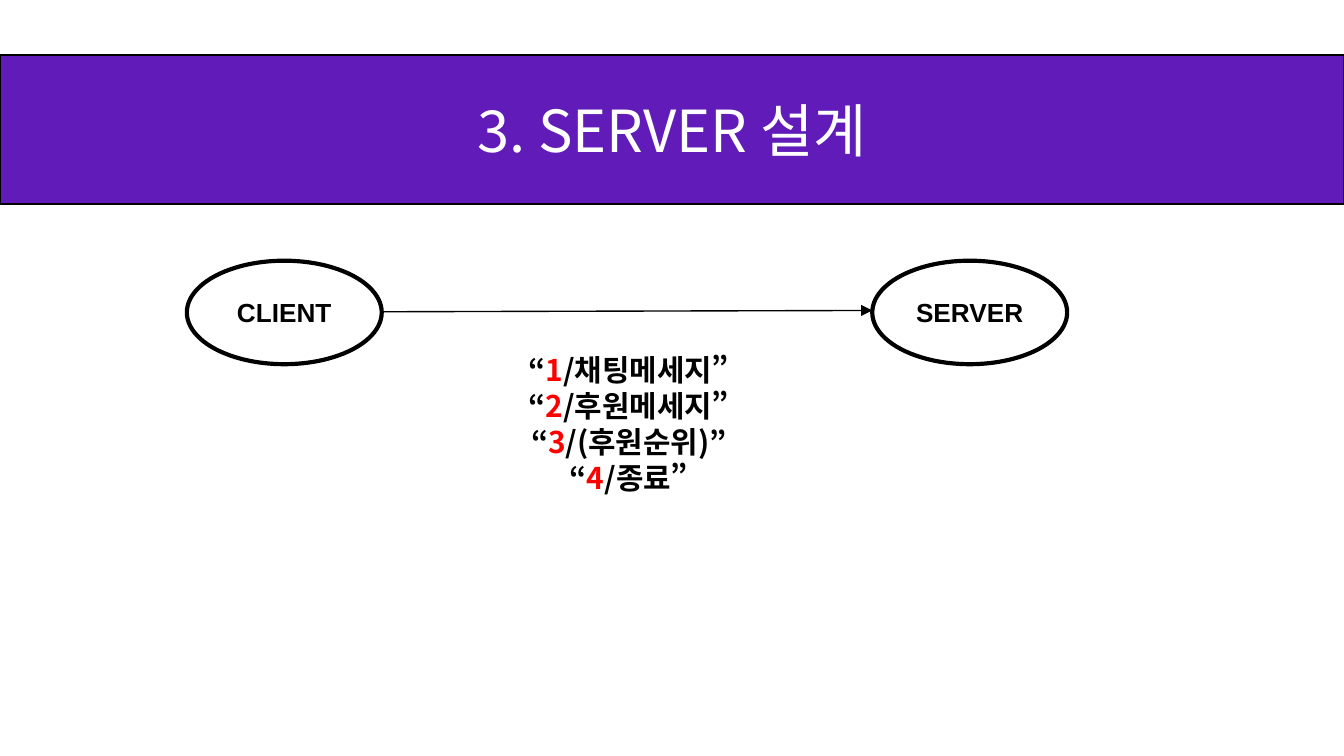
from lxml import etree
from pptx import Presentation
from pptx.dml.color import RGBColor
from pptx.enum.lang import MSO_LANGUAGE_ID
from pptx.enum.shapes import MSO_CONNECTOR, MSO_SHAPE
from pptx.enum.text import MSO_ANCHOR, PP_ALIGN
from pptx.oxml.ns import qn
from pptx.util import Inches, Pt

RECT, OVAL = MSO_SHAPE.RECTANGLE, MSO_SHAPE.OVAL
STRAIGHT = MSO_CONNECTOR.STRAIGHT
CENTER = PP_ALIGN.CENTER
TOP, MIDDLE = MSO_ANCHOR.TOP, MSO_ANCHOR.MIDDLE
KO = MSO_LANGUAGE_ID.KOREAN

LATIN, KOREAN = "Arial", "Noto Sans CJK KR"
BLACK, WHITE, RED, PURPLE = "000000", "FFFFFF", "FF0000", "611BB8"


def rgb(value):
    return RGBColor.from_string(value)


def add_run(p, text, size=16, font=KOREAN, color=BLACK, bold=False):
    r = p.add_run()
    r.text = text
    r.font.size, r.font.name, r.font.bold = Pt(size), font, bold
    r.font.language_id = KO
    r.font.color.rgb = rgb(color)
    # East Asian characters take their typeface from a:ea
    etree.SubElement(r.font._element, qn("a:ea"), typeface=font)


class SlideBuilder:
    inset = Inches(0.1)

    def __init__(self, slide):
        self.s = slide

    def frame(self, sp, anchor):
        tf = sp.text_frame
        tf.word_wrap = True
        tf.vertical_anchor = anchor
        tf.margin_left = tf.margin_right = self.inset
        tf.margin_top = tf.margin_bottom = self.inset
        return tf

    def shape(self, kind, box, text, fill=None, line_width=0.75, **fmt):
        sp = self.s.shapes.add_shape(kind, *map(Inches, box))
        sp.shadow.inherit = False
        if fill:
            sp.fill.solid()
            sp.fill.fore_color.rgb = rgb(fill)
        else:
            sp.fill.background()
        sp.line.color.rgb = rgb(BLACK)
        sp.line.width = Pt(line_width)
        p = self.frame(sp, MIDDLE).paragraphs[0]
        p.alignment = CENTER
        add_run(p, text, **fmt)

    def arrow(self, start, end):
        cn = self.s.shapes.add_connector(STRAIGHT, *map(Inches, start + end))
        cn.line.color.rgb = rgb(BLACK)
        cn.line.width = Pt(0.75)
        etree.SubElement(cn.line._get_or_add_ln(), qn("a:tailEnd"), type="triangle")
        etree.SubElement(cn._element.spPr, qn("a:effectLst"))

    def messages(self, box, items):
        sp = self.s.shapes.add_textbox(*map(Inches, box))
        tf = self.frame(sp, TOP)
        for number, item in enumerate(items, 1):
            p = tf.paragraphs[0] if number == 1 else tf.add_paragraph()
            p.alignment = CENTER
            add_run(p, "“", bold=True)
            add_run(p, str(number), color=RED, bold=True)
            add_run(p, f"/{item}”", bold=True)


def main():
    # 16:9 slide
    prs = Presentation()
    prs.slide_width, prs.slide_height = Inches(10), Inches(10 * 9 / 16)
    b = SlideBuilder(prs.slides.add_slide(prs.slide_layouts[6]))

    # Title band
    b.shape(RECT, (0, 0.41, 10, 1.11), "3. SERVER 설계", fill=PURPLE,
            size=31, color=WHITE)

    # Client and server, with the arrow between them
    for left, name in ((1.39, "CLIENT"), (6.49, "SERVER")):
        b.shape(OVAL, (left, 1.94, 1.45, 0.77), name, line_width=2.25,
                size=14, font=LATIN, bold=True)
    b.arrow((2.84, 2.32), (6.49, 2.31))

    # Message formats
    b.messages((3.1, 2.52, 3.16, 1.38),
               ("채팅메세지", "후원메세지", "(후원순위)", "종료"))

    prs.save("out.pptx")


if __name__ == "__main__":
    main()
